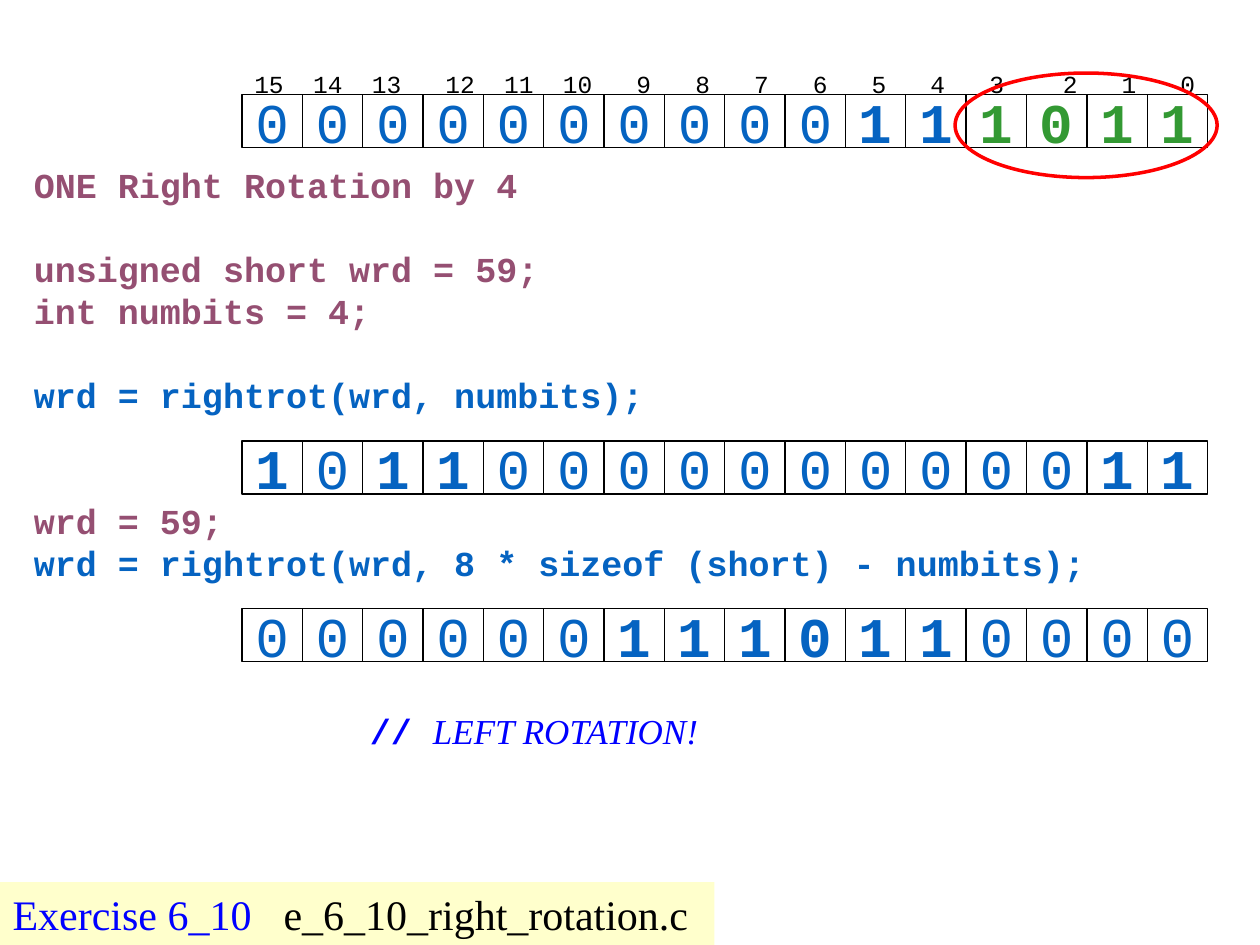
from pptx import Presentation
from pptx.util import Inches, Pt
from pptx.dml.color import RGBColor
from pptx.enum.shapes import MSO_SHAPE as Shape
from pptx.enum.text import PP_ALIGN as Align, MSO_ANCHOR as Anchor
from pptx.oxml.ns import qn
from lxml.etree import SubElement

BLACK = RGBColor(0x00, 0x00, 0x00)
BLUE = RGBColor(0x05, 0x63, 0xC1)
PURE = RGBColor(0x00, 0x00, 0xFF)
PLUM = RGBColor(0x95, 0x4F, 0x72)
GREEN = RGBColor(0x33, 0x99, 0x33)
RED = RGBColor(0xFF, 0x00, 0x00)
CREAM = RGBColor(0xFF, 0xFF, 0xCC)
MONO, SERIF = "Courier New", "Times New Roman"

# top, bits, bold columns, first green column
WORDS = [
    (0.75, "0000000000111011", range(10, 16), 12),
    (3.5, "1011000000000011", (0, 2, 3, 14, 15), 16),
    (4.83, "0000001110110000", range(6, 12), 16),
]
# blank lines above, text, colour
CODE = [
    (0, "ONE Right Rotation by 4", PLUM),
    (1, "unsigned short wrd = 59;", PLUM),
    (0, "int numbits = 4;", PLUM),
    (1, "wrd = rightrot(wrd, numbits);", BLUE),
    (2, "wrd = 59;", PLUM),
    (0, "wrd = rightrot(wrd, 8 * sizeof (short) - numbits);", BLUE),
]
NOTE = [("// ", dict(font=MONO, bold=True)),
        ("LEFT ROTATION!", dict(font=SERIF, italic=True))]
# character column at which each bit number starts, from 15 down to 0
STOPS = [0, 4, 8, 13, 17, 21, *range(26, 51, 4), 55, 59, 63]
LEFT, CELL_W, CELL_H = 1.92, 0.479, 0.42
LINE = 24          # code line pitch, points
CHAR = 0.6         # width of a fixed-pitch character, share of its size


def write(para, text, size=20, font=MONO, color=BLACK, bold=False, italic=False):
    """Add a formatted run to a paragraph."""
    run = para.add_run()
    run.text = text
    face = run.font
    face.size, face.name, face.bold, face.italic = Pt(size), font, bold, italic
    face.color.rgb = color


def place(shape, x, y, w, h):
    """Set a shape's place and size in inches."""
    shape.left, shape.top, shape.width, shape.height = map(Inches, (x, y, w, h))


def set_tabs(para, stops):
    """Give a paragraph left tab stops, in inches."""
    tabs = SubElement(para._p.get_or_add_pPr(), qn("a:tabLst"))
    for stop in stops:
        SubElement(tabs, qn("a:tab"), pos=str(Inches(stop)), algn="l")


def add_box(x, y, w, h):
    """Add a wrapping text box and return its text frame."""
    frame = slide.shapes.add_textbox(*map(Inches, (x, y, w, h))).text_frame
    frame.word_wrap = True
    return frame


def add_outline(shapes, kind, x, y, w, h, color, width):
    """Add an unfilled preset shape."""
    shape = shapes.add_shape(kind, *map(Inches, (x, y, w, h)))
    shape.shadow.inherit = False
    shape.fill.background()
    shape.line.color.rgb, shape.line.width = color, Pt(width)
    return shape


def add_word(top, bits, bold, green):
    """Draw one 16-bit word as a group of cells."""
    group = slide.shapes.add_group_shape()
    for col, bit in enumerate(bits):
        cell = add_outline(group.shapes, Shape.RECTANGLE, LEFT + col * CELL_W, top,
                           CELL_W, CELL_H, BLACK, 0.75)
        frame = cell.text_frame
        frame.word_wrap, frame.vertical_anchor = False, Anchor.MIDDLE
        para = frame.paragraphs[0]
        para.alignment = Align.CENTER
        write(para, bit, size=32, color=GREEN if col >= green else BLUE,
              bold=col in bold)


def add_code():
    """Write the code lines and the closing note."""
    frame = add_box(0.17, 1.25, 9.08, 4.77)
    for row, (gap, text, color) in enumerate(CODE):
        para = frame.add_paragraph() if row else frame.paragraphs[0]
        para.line_spacing, para.space_before = Pt(LINE), Pt(gap * LINE)
        write(para, text, color=color, bold=True)
    para = frame.add_paragraph()
    para.line_spacing, para.space_before = Pt(LINE), Pt(3 * LINE)
    props = para._p.get_or_add_pPr()
    props.set("marL", str(Pt(16 * 20 * CHAR)))
    props.set("indent", "0")
    for text, form in NOTE:
        write(para, text, color=PURE, **form)


def add_title():
    """Format the title as the strip at the foot of the slide."""
    title = slide.shapes.title
    place(title, 0, 7, 5.67, 0.5)
    title.fill.solid()
    title.fill.fore_color.rgb = CREAM
    frame = title.text_frame
    frame.vertical_anchor = Anchor.MIDDLE
    para = frame.paragraphs[0]
    para.alignment = Align.LEFT
    set_tabs(para, [2.15])
    write(para, "Exercise 6_10\t", size=24, font=SERIF, color=PURE)
    write(para, "e_6_10_right_rotation.c", size=24, font=SERIF)


deck = Presentation()
deck.slide_width, deck.slide_height = Inches(10), Inches(7.5)
slide = deck.slides.add_slide(deck.slide_layouts[5])
add_title()
add_code()
ruler = add_box(LEFT, 0.5, 7.83, 0.33).paragraphs[0]
set_tabs(ruler, [stop * 14 * CHAR / 72 for stop in STOPS[1:]])
write(ruler, "\t".join(str(bit) for bit in range(15, -1, -1)), size=14)
for word in WORDS:
    add_word(*word)
add_outline(slide.shapes, Shape.OVAL, 7.58, 0.58, 2.08, 0.83, RED, 2)
deck.save("out.pptx")
